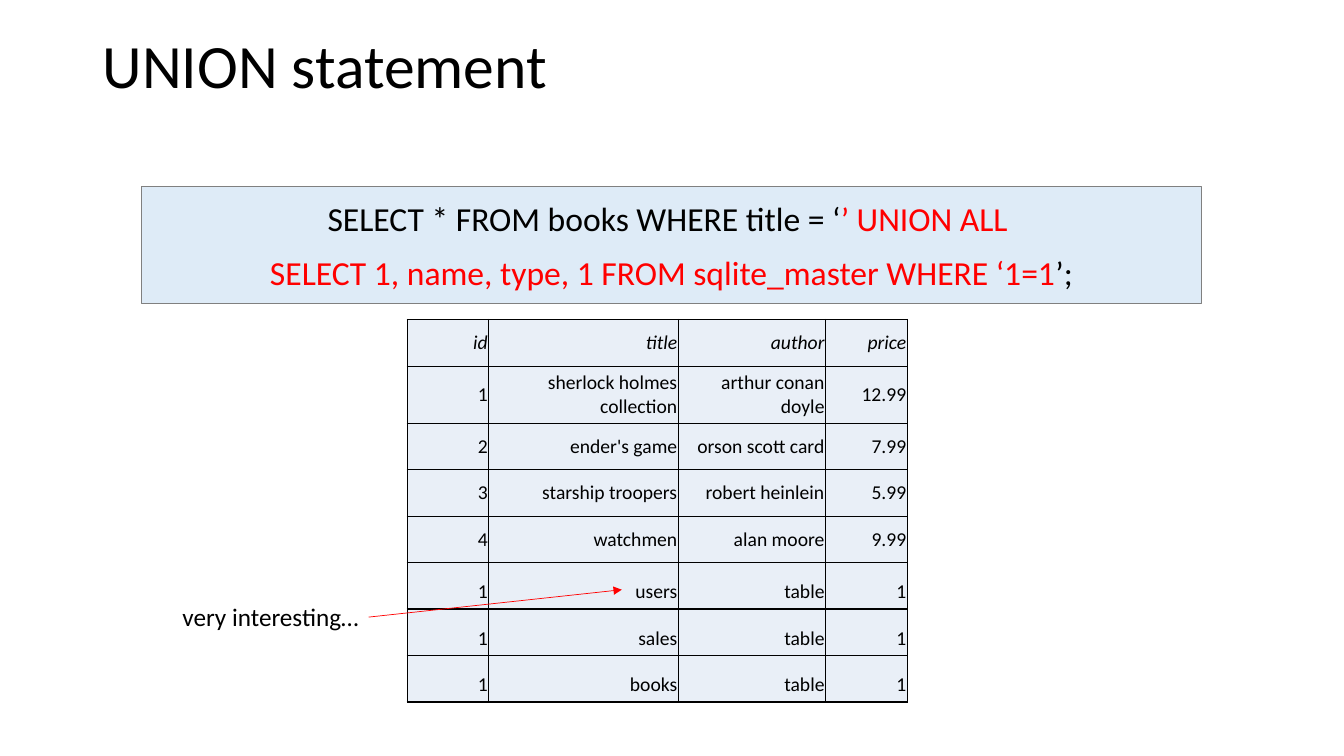
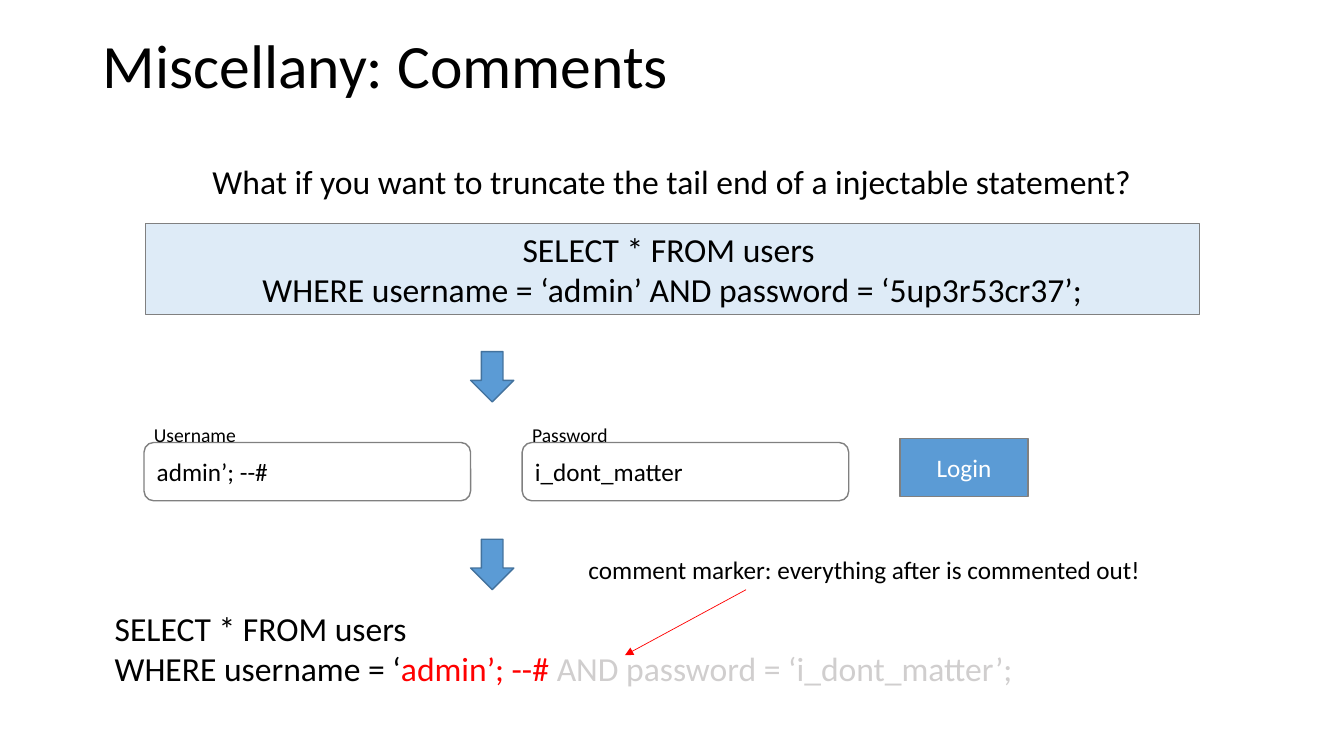
from pptx import Presentation
from pptx import util as u
from pptx.dml.color import RGBColor
from pptx.enum import shapes, text
from pptx.oxml.ns import qn
from lxml import etree

FONT = "Calibri"
HUES = {
    "ink": "000000", "white": "FFFFFF", "red": "FF0000", "faded": "D0CECE",
    "pale": "DEEBF7", "cell": "E9EFF7", "blue": "5B9BD5", "navy": "43729D",
    "gray": "808080",
}
KIND = shapes.MSO_SHAPE
SIDE = text.PP_ALIGN
MID = text.MSO_ANCHOR.MIDDLE
LOW = text.MSO_ANCHOR.BOTTOM

BOOKS = [
    ("id", "title", "author", "price"),
    ("1", "sherlock holmes collection", "arthur conan doyle", "12.99"),
    ("2", "ender's game", "orson scott card", "7.99"),
    ("3", "starship troopers", "robert heinlein", "5.99"),
    ("4", "watchmen", "alan moore", "9.99"),
    ("1", "users", "table", "1"),
    ("1", "sales", "table", "1"),
    ("1", "books", "table", "1"),
]
FIRST_LEAK = 5  # first row that the injected query adds


def hue(name):
    return RGBColor.from_string(HUES[name])


def area(x, y, w, h):
    return u.Cm(x), u.Cm(y), u.Cm(w), u.Cm(h)


# Text: each line is a list of (words, colour) runs
def write(frame, lines, size, align=SIDE.LEFT, before=None, italic=False):
    frame.word_wrap = True
    for i, line in enumerate(lines):
        para = frame.paragraphs[0] if i == 0 else frame.add_paragraph()
        para.alignment = align
        if before is not None:
            para.space_before = u.Pt(before)
        for words, color in line:
            run = para.add_run()
            run.text = words
            font = run.font
            font.name, font.size = FONT, u.Pt(size)
            font.bold, font.italic = False, italic
            font.color.rgb = hue(color)


def label(slide, box, lines, size, align=SIDE.LEFT):
    item = slide.shapes.add_textbox(*area(*box))
    write(item.text_frame, lines, size, align)
    return item


def title(slide, words):
    item = label(slide, (2.34, 0.71, 29.21, 2.03), [[(words, "ink")]], 44)
    item.text_frame.vertical_anchor = MID
    item.text_frame.paragraphs[0].line_spacing = 0.9


# Shapes
def block(slide, kind, box, fill, edge, width=1):
    item = slide.shapes.add_shape(kind, *area(*box))
    item.shadow.inherit = False
    item.fill.solid()
    item.fill.fore_color.rgb = hue(fill)
    item.line.color.rgb = hue(edge)
    item.line.width = u.Pt(width)
    item.text_frame.vertical_anchor = MID
    return item


def query(slide, box, lines, before=None):
    item = block(slide, KIND.RECTANGLE, box, "pale", "gray", 0)
    write(item.text_frame, lines, 24, SIDE.CENTER, before)


def field(slide, x, name, value):
    item = block(slide, KIND.ROUNDED_RECTANGLE, (x, 11.15, 8.23, 1.47),
                 "white", "gray")
    write(item.text_frame, [[(value, "ink")]], 18)
    label(slide, (x, 10.52, 4.47, 0.84), [[(name, "ink")]], 14)


def button(slide, box, words):
    item = block(slide, KIND.RECTANGLE, box, "blue", "gray")
    write(item.text_frame, [[(words, "white")]], 18, SIDE.CENTER)


def pointer(slide, x1, y1, x2, y2):
    line = slide.shapes.add_connector(
        shapes.MSO_CONNECTOR.STRAIGHT, *area(x1, y1, x2, y2))
    line.line.color.rgb = hue("red")
    line.line.width = u.Pt(0.5)
    stroke = line.line._get_or_add_ln()
    etree.SubElement(stroke, qn("a:tailEnd"), type="triangle")
    etree.SubElement(line._element.spPr, qn("a:effectLst"))
    return line


# Table
def border(cell, edge, width):
    props = cell._tc.get_or_add_tcPr()
    stroke = etree.SubElement(props, qn("a:ln" + edge), w=str(u.Pt(width)))
    fill = etree.SubElement(stroke, qn("a:solidFill"))
    etree.SubElement(fill, qn("a:srgbClr"), val=HUES["ink"])


def grid(slide, x, y, widths, high, rows):
    box = area(x, y, sum(widths), high * len(rows))
    table = slide.shapes.add_table(len(rows), len(widths), *box).table
    table.horz_banding = False
    for col, wide in zip(table.columns, widths):
        col.width = u.Cm(wide)
    for r, row in enumerate(rows):
        table.rows[r].height = u.Cm(high)
        for c, words in enumerate(row):
            cell = table.cell(r, c)
            cell.margin_left = cell.margin_right = u.Cm(0.03)
            cell.margin_top = cell.margin_bottom = u.Cm(0.13)
            cell.vertical_anchor = LOW if r >= FIRST_LEAK else MID
            # The rule under the header is thinner
            thin = {(0, "B"), (1, "T")}
            for edge in "LRTB":
                border(cell, edge, 0.5 if (r, edge) in thin else 0.96)
            cell.fill.solid()
            cell.fill.fore_color.rgb = hue("cell")
            write(cell.text_frame, [[(words, "ink")]], 14, SIDE.RIGHT,
                  italic=r == 0)


# Slides
def union(slide):
    title(slide, "UNION statement")
    query(slide, (3.56, 4.7, 26.72, 2.95), [
        [("SELECT * FROM books WHERE title = ‘", "ink"),
         ("’ UNION ALL ", "red")],
        [("SELECT 1, name, type, 1 FROM sqlite_master WHERE ‘1=1", "red"),
         ("’;", "ink")],
    ], before=10)
    grid(slide, 10.26, 8.05, (2.06, 4.78, 3.71, 2.06), 1.17, BOOKS)
    note = label(slide, (2.79, 15.04, 6.5, 1.02),
                 [[("very interesting…", "ink")]], 18, SIDE.RIGHT)
    line = pointer(slide, 9.29, 15.55, 15.67, 14.86)
    line.begin_connect(note, 3)


def remarks(slide):
    title(slide, "Miscellany: Comments")
    label(slide, (1.65, 3.94, 30.56, 1.27), [
        [("What if you want to truncate the tail end of a injectable "
          "statement?", "ink")],
    ], 24, SIDE.CENTER)
    query(slide, (3.66, 5.64, 26.57, 2.29), [
        [("SELECT * FROM users ", "ink")],
        [("WHERE username = ‘admin’ AND password = ‘5up3r53cr37’;", "ink")],
    ])

    # Login form between two arrows
    for y in (8.86, 13.59):
        block(slide, KIND.DOWN_ARROW, (11.86, y, 1.09, 1.27), "blue", "navy")
    field(slide, 3.63, "Username", "admin’; --#")
    field(slide, 13.16, "Password", "i_dont_matter")
    button(slide, (22.68, 11.05, 3.23, 1.47), "Login")

    # Resulting statement
    label(slide, (2.64, 15.19, 29.11, 2.29), [
        [("SELECT * FROM users", "ink")],
        [("WHERE username = ‘", "ink"), ("admin’; --# ", "red"),
         ("AND password = ‘i_dont_matter’;", "faded")],
    ], 24)
    label(slide, (14.58, 13.84, 17.78, 1.02), [
        [("comment marker: everything after is commented out!", "ink")],
    ], 18)
    pointer(slide, 18.8, 14.86, 15.75, 16.51)


def main():
    deck = Presentation()
    deck.slide_width, deck.slide_height = u.Cm(33.87), u.Cm(19.05)
    for draw in (union, remarks):
        draw(deck.slides.add_slide(deck.slide_layouts[6]))
    deck.save("out.pptx")


if __name__ == "__main__":
    main()
